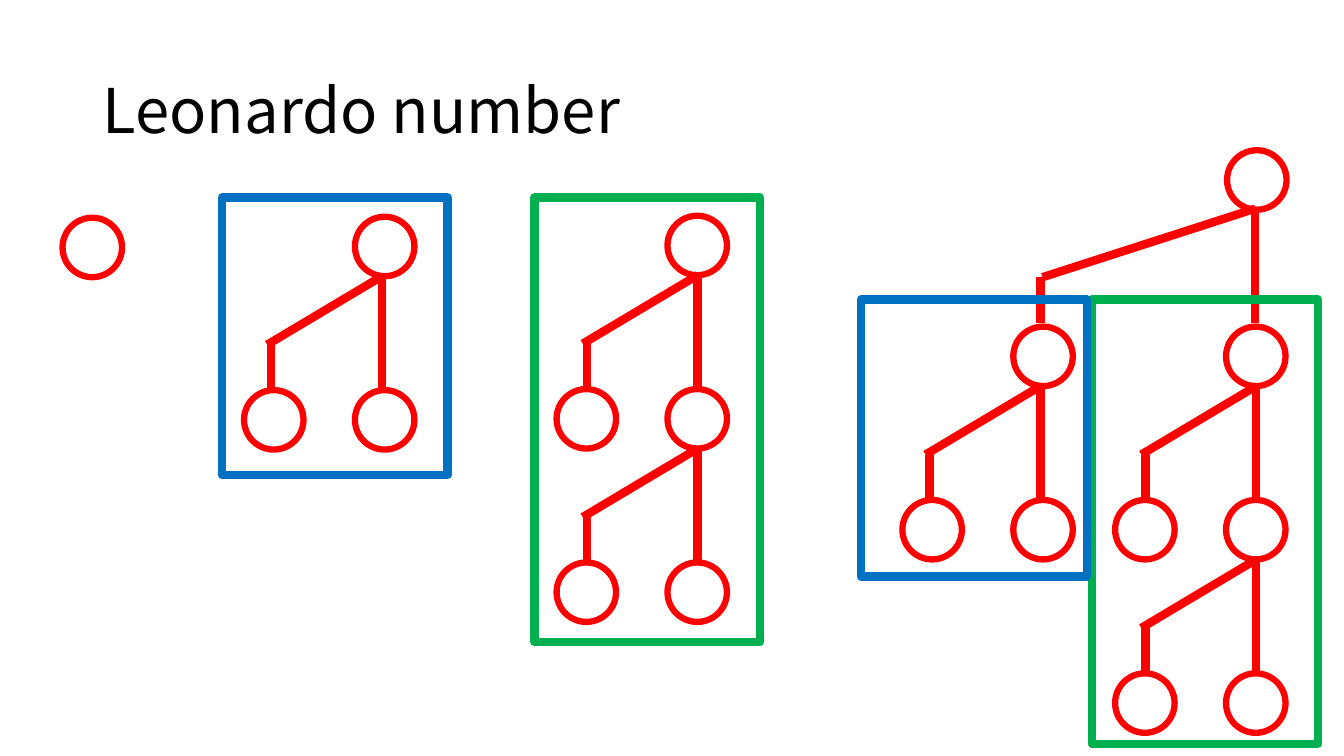
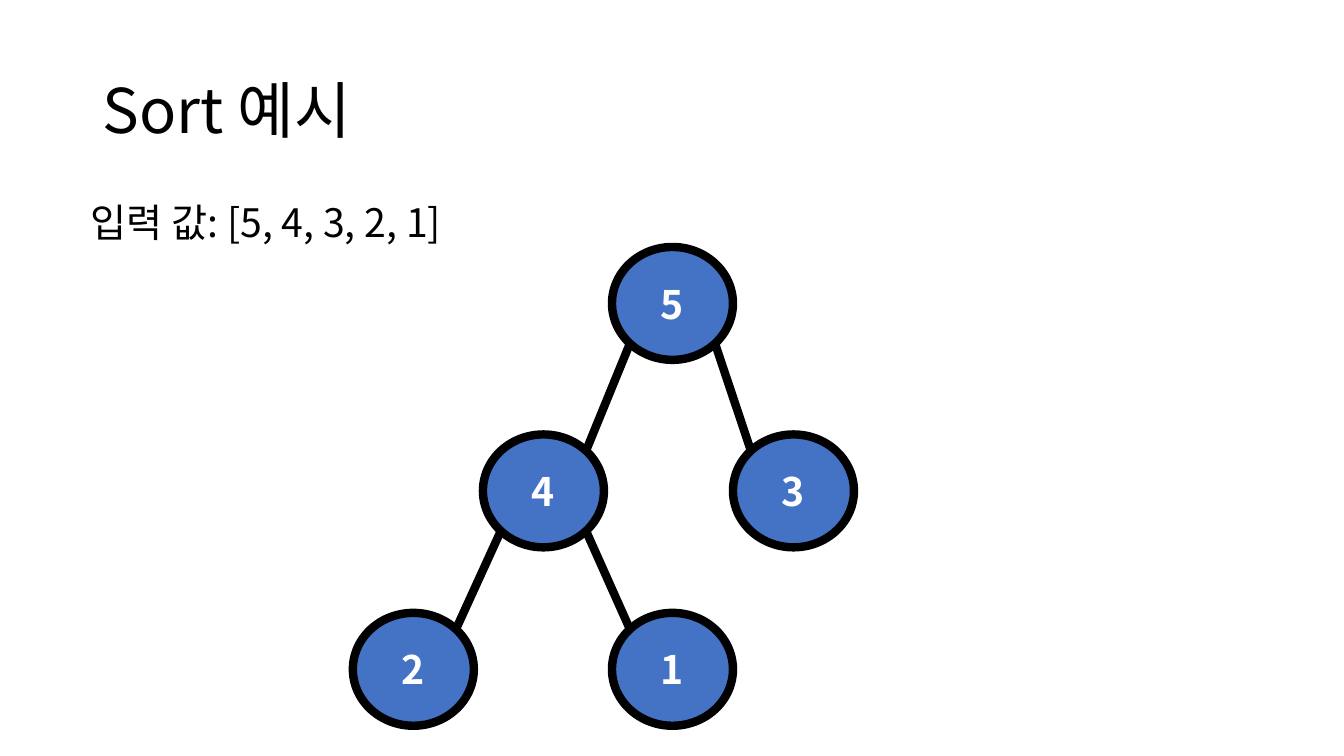
import pptx
import pptx.dml.color
import pptx.enum.shapes
import pptx.enum.text
import pptx.oxml
import pptx.oxml.ns
import pptx.util

Inches, Pt = pptx.util.Inches, pptx.util.Pt
SHAPE = pptx.enum.shapes.MSO_SHAPE
ALIGN = pptx.enum.text.PP_ALIGN
ANCHOR = pptx.enum.text.MSO_ANCHOR
FONT = "Noto Sans CJK KR"
BLACK, WHITE, RED = "000000", "FFFFFF", "FF0000"
BLUE, GREEN, NODE_FILL = "0070C0", "00B050", "4472C4"
RING = 0.59
GAP, DROP = 1.1, 1.72
NODE_W, NODE_H = 1.2, 1.12


def rgb(color):
    """Turn a hex string into a colour."""
    return pptx.dml.color.RGBColor.from_string(color)


def place(sp, x, y, w, h):
    """Set the box of a shape in inches."""
    sp.left, sp.top, sp.width, sp.height = map(Inches, (x, y, w, h))


def write(sp, text, size=28, color=BLACK, bold=False, align=ALIGN.LEFT,
          anchor=ANCHOR.MIDDLE, spacing=None, before=0):
    """Write one formatted paragraph into a shape."""
    tf = sp.text_frame
    tf.word_wrap = True
    tf.auto_size = pptx.enum.text.MSO_AUTO_SIZE.NONE
    tf.vertical_anchor = anchor
    p = tf.paragraphs[0]
    p.alignment, p.line_spacing, p.space_before = align, spacing, Pt(before)
    r = p.add_run()
    r.text = text
    r.font.size, r.font.bold, r.font.name = Pt(size), bold, FONT
    r.font.color.rgb = rgb(color)
    ea = pptx.oxml.parse_xml(
        f'<a:ea {pptx.oxml.ns.nsdecls("a")} typeface="{FONT}"/>')
    r.font._element.find(pptx.oxml.ns.qn("a:latin")).addnext(ea)
    return p


def outline(s, kind, x, y, w, h, color, weight, fill=None):
    """Add an outlined shape, hollow unless a fill is given."""
    sp = s.shapes.add_shape(kind, *map(Inches, (x, y, w, h)))
    sp.shadow.inherit = False
    sp.line.color.rgb, sp.line.width = rgb(color), Pt(weight)
    if fill:
        sp.fill.solid()
        sp.fill.fore_color.rgb = rgb(fill)
    else:
        sp.fill.background()
    return sp


def line(s, x1, y1, x2, y2, color):
    """Add a thick straight line without a shadow."""
    sp = s.shapes.add_connector(pptx.enum.shapes.MSO_CONNECTOR.STRAIGHT,
                                *map(Inches, (x1, y1, x2, y2)))
    sp.line.color.rgb, sp.line.width = rgb(color), Pt(6)
    sp._element.spPr.append(pptx.oxml.parse_xml(
        f'<a:effectLst {pptx.oxml.ns.nsdecls("a")}/>'))


def titled_slide(prs, layout, title):
    """Add a slide with the shared title style."""
    s = prs.slides.add_slide(prs.slide_layouts[layout])
    place(s.shapes.title, 0.92, 0.4, 11.5, 1.45)
    write(s.shapes.title, title, size=44, spacing=0.9)
    return s


def ring(s, x, y):
    """Add a hollow red tree node."""
    outline(s, SHAPE.OVAL, x, y, RING, RING, RED, 4.5)


def fork(s, x, y, gap=GAP, stem=0.3, elbow=-0.04):
    """Draw the bent left branch and the straight right branch under a ring."""
    right, left = x + stem, x + stem - gap
    top, bend, foot = y + RING, y + 1.27, y + DROP
    line(s, left, foot, left, bend, RED)
    line(s, right, foot, right, top, RED)
    line(s, left + elbow, bend, right, top, RED)


def tree(s, x, y, levels, stem=0.3):
    """Draw a Leonardo tree whose root ring starts at x, y."""
    ring(s, x, y)
    for level in range(levels):
        top = y + level * DROP
        ring(s, x - GAP, top + DROP)
        ring(s, x, top + DROP)
        fork(s, x, top, stem=stem)


def frame(s, x, y, h, color):
    """Draw a coloured frame around a tree."""
    outline(s, SHAPE.RECTANGLE, x, y, 2.24, h, color, 6)


def leonardo_slide(prs):
    """Show the first Leonardo trees and how they join."""
    s = titled_slide(prs, 5, "Leonardo number")
    ring(s, 0.62, 2.16)
    tree(s, 3.52, 2.15, 1, stem=0.27)
    tree(s, 6.62, 2.14, 2)
    tree(s, 10.05, 3.24, 1, stem=0.27)
    tree(s, 12.16, 3.24, 2)
    ring(s, 12.17, 1.49)
    fork(s, 12.17, 1.48, gap=2.13, stem=0.28, elbow=0.02)
    for x, y, h, color in [(10.83, 2.97, 4.41, GREEN), (5.3, 1.96, 4.41, GREEN),
                           (2.2, 1.96, 2.75, BLUE), (8.54, 2.97, 2.75, BLUE)]:
        frame(s, x, y, h, color)


def heap(s, nodes, edges):
    """Draw numbered nodes joined at the diagonal points of their ellipses."""
    near, far = 0.15, 0.85
    for parent, child in edges:
        (px, py), (cx, cy) = nodes[parent], nodes[child]
        out, into = (near, far) if cx < px else (far, near)
        line(s, px + out * NODE_W, py + far * NODE_H,
             cx + into * NODE_W, cy + near * NODE_H, BLACK)
    for label, (x, y) in nodes.items():
        sp = outline(s, SHAPE.OVAL, x, y, NODE_W, NODE_H, BLACK, 6, NODE_FILL)
        write(sp, label, color=WHITE, bold=True, align=ALIGN.CENTER)


def sort_slide(prs):
    """Show the input list and its heap."""
    s = titled_slide(prs, 1, "Sort 예시")
    nodes = {"5": (6.07, 2.45), "4": (4.79, 4.31), "3": (7.27, 4.31),
             "2": (3.5, 6.08), "1": (6.07, 6.08)}
    heap(s, nodes, ["54", "53", "42", "41"])
    body = s.placeholders[1]
    place(body, 0.8, 1.97, 11.5, 4.76)
    p = write(body, "입력 값: [5, 4, 3, 2, 1]", anchor=ANCHOR.TOP,
              spacing=0.9, before=10)
    pPr = p._p.get_or_add_pPr()
    pPr.set("marL", "0")
    pPr.set("indent", "0")
    pPr.append(pptx.oxml.parse_xml(
        f'<a:buNone {pptx.oxml.ns.nsdecls("a")}/>'))


prs = pptx.Presentation()
prs.slide_width, prs.slide_height = Inches(13.33), Inches(7.5)
leonardo_slide(prs)
sort_slide(prs)
prs.save("out.pptx")
